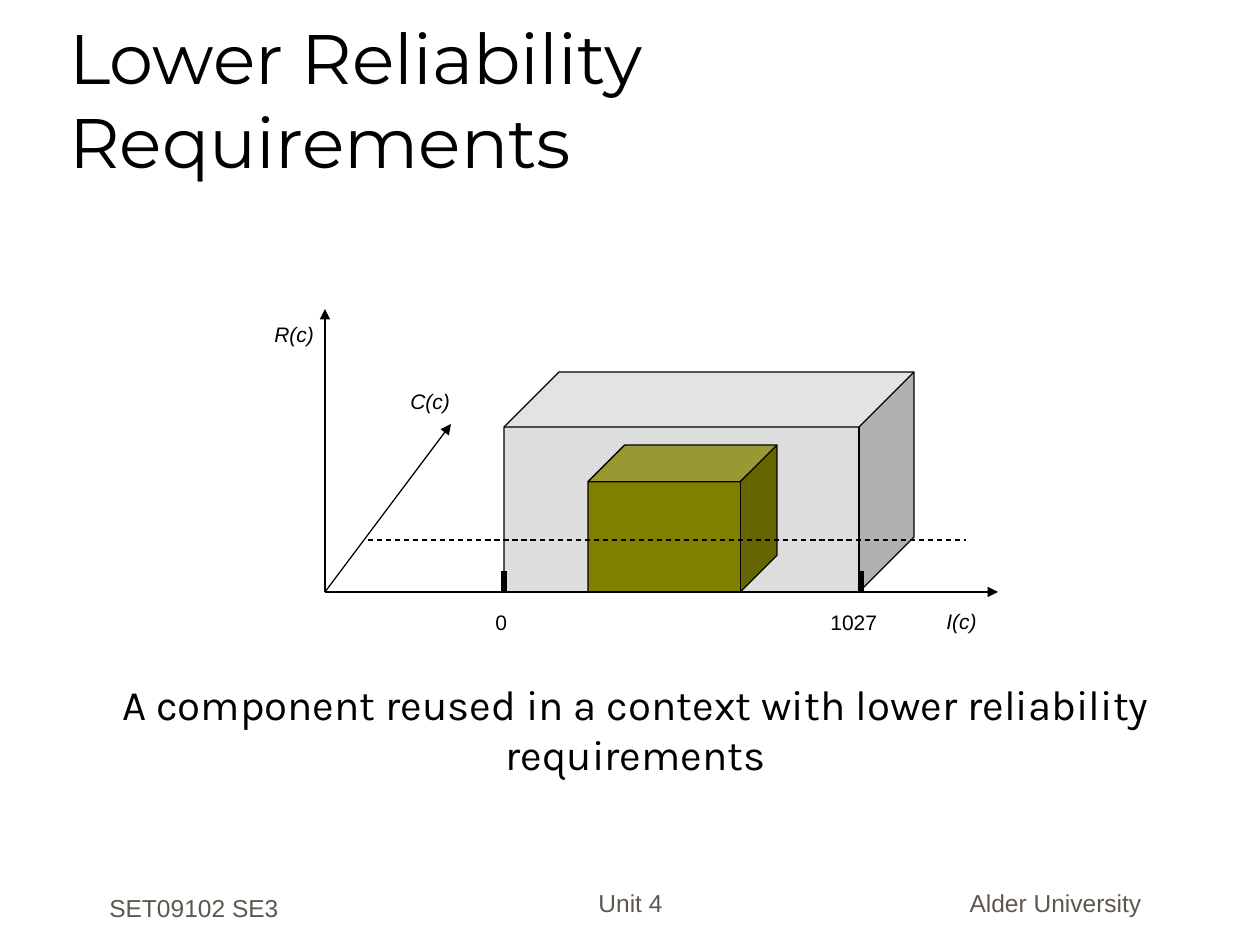
"""Builds the slide on reusing a component under lower reliability requirements."""
from pptx import Presentation
from pptx.dml.color import RGBColor
from pptx.enum.dml import MSO_LINE
from pptx.enum.shapes import MSO_CONNECTOR, MSO_SHAPE
from pptx.enum.text import MSO_ANCHOR, MSO_AUTO_SIZE, PP_ALIGN
from pptx.oxml.ns import qn
from pptx.util import Pt
from lxml.etree import SubElement

COLORS = {"ink": "000000", "footer": "5E574E", "outer": "DDDDDD", "inner": "808000"}
EMU_PER_PX = 914400 / 126


def px(n):
    return round(n * EMU_PER_PX)


def rgb(name):
    return RGBColor.from_string(COLORS[name])


class SlideBuilder:
    def __init__(self, slide):
        self.s = slide

    def text(self, x, y, w, h, text, size=12, font="Arial", color="ink", italic=False,
             align=PP_ALIGN.LEFT, anchor=MSO_ANCHOR.TOP, wrap=True):
        tf = self.s.shapes.add_textbox(px(x), px(y), px(w), px(h)).text_frame
        tf.word_wrap = wrap
        tf.auto_size = MSO_AUTO_SIZE.NONE if wrap else MSO_AUTO_SIZE.SHAPE_TO_FIT_TEXT
        tf.vertical_anchor = anchor
        p = tf.paragraphs[0]
        p.text = text
        p.alignment = align
        p.font.size = Pt(size)
        p.font.name = font
        p.font.italic = italic
        p.font.color.rgb = rgb(color)

    def label(self, x, y, w, text, italic=False):
        self.text(x, y, w, 38, text, italic=italic, wrap=False)

    def footer(self, x, y, w, h, text):
        self.text(x, y, w, h, text, 14, color="footer",
                  align=PP_ALIGN.CENTER, anchor=MSO_ANCHOR.BOTTOM)

    def cube(self, x, y, w, h, color):
        sp = self.s.shapes.add_shape(MSO_SHAPE.CUBE, px(x), px(y), px(w), px(h))
        sp.adjustments[0] = 0.25
        sp.shadow.inherit = False
        sp.fill.solid()
        sp.fill.fore_color.rgb = rgb(color)
        sp.line.color.rgb = rgb("ink")
        sp.line.width = Pt(0.75)

    def line(self, x1, y1, x2, y2, width=0.75, dashed=False, arrow=False):
        c = self.s.shapes.add_connector(MSO_CONNECTOR.STRAIGHT, px(x1), px(y1), px(x2), px(y2))
        c.line.color.rgb = rgb("ink")
        c.line.width = Pt(width)
        if dashed:
            c.line.dash_style = MSO_LINE.DASH
        if arrow:
            SubElement(c.line._get_or_add_ln(), qn("a:tailEnd"), type="triangle")
        SubElement(c._element.spPr, qn("a:effectLst"))


def main():
    prs = Presentation()
    prs.slide_width, prs.slide_height = px(1260), px(945)
    b = SlideBuilder(prs.slides.add_slide(prs.slide_layouts[6]))

    b.text(57, 32, 1071, 157, "Lower Reliability Requirements", 40, "Montserrat",
           anchor=MSO_ANCHOR.BOTTOM)

    origin_x, base_y = 325, 592
    b.cube(504, 372, 410, 220, "outer")
    b.cube(588, 445, 189, 147, "inner")
    for x, y in [(998, base_y), (451, 424), (origin_x, 309)]:
        b.line(origin_x, base_y, x, y, arrow=True)
    b.line(368, 540, 966, 540, dashed=True)
    for x in (504, 861):
        b.line(x, 571, x, base_y, width=3)

    for x, y, w, name in [(262, 315, 66, "R(c)"), (398, 382, 66, "C(c)"), (934, 602, 57, "I(c)")]:
        b.label(x, y, w, name, italic=True)
    for x, w, value in [(483, 37, "0"), (818, 73, "1027")]:
        b.label(x, 603, w, value)

    b.text(63, 672, 1145, 164,
           "A component reused in a context with lower reliability requirements",
           24, "Karla", align=PP_ALIGN.CENTER)

    b.footer(63, 869, 262, 60, "SET09102 SE3")
    b.footer(431, 861, 399, 63, "Unit 4")
    b.footer(882, 881, 347, 43, "Alder University")

    prs.save("out.pptx")


if __name__ == "__main__":
    main()
